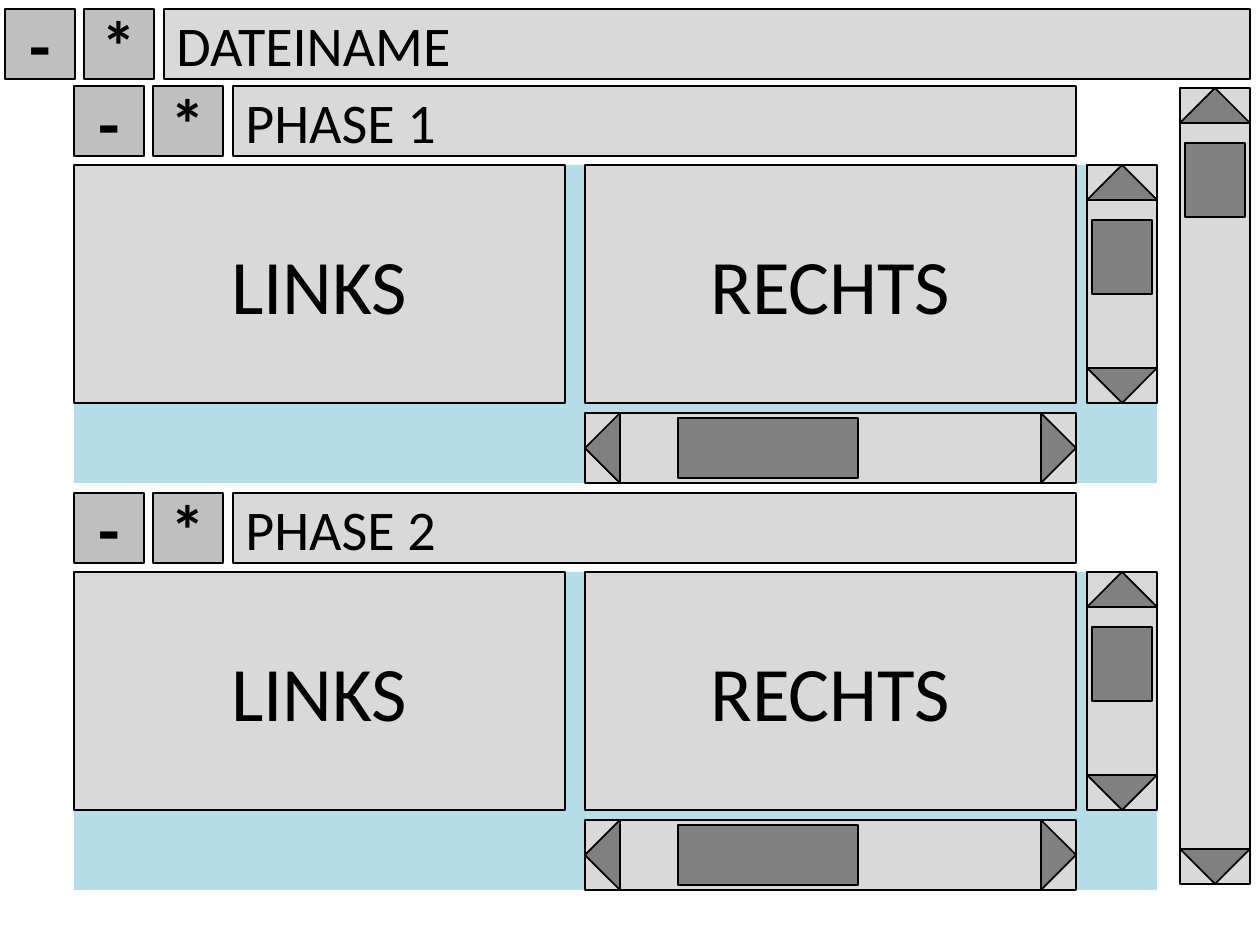
from pptx import Presentation
from pptx.dml.color import RGBColor
from pptx.enum.shapes import MSO_SHAPE
from pptx.enum.text import MSO_ANCHOR, PP_ALIGN
from pptx.util import Emu, Pt

SIZE = 70
ARROW = 35
INSET = 5
PANE_W, PANE_H = 491, 238
GRAY, BUTTON, THUMB, BLUE = "D9D9D9", "BFBFBF", "808080", "B7DEE8"
BUTTON_FONT = {"size": Pt(40), "bold": True}
BAR_FONT = {"size": Pt(32)}
PANE_FONT = {"size": Pt(44)}


def px(n):
    """Turn pixels into EMU."""
    return Emu(round(n * 914400 / 126))


def color(value):
    """Turn a hex string into a colour."""
    return RGBColor.from_string(value)


def add_box(slide, x, y, w, h, fill, line="000000", kind=MSO_SHAPE.RECTANGLE, rot=0):
    """Add a shape that covers the given area after its rotation."""
    if rot % 180:
        x, y, w, h = x + (w - h) / 2, y + (h - w) / 2, h, w
    sp = slide.shapes.add_shape(kind, px(x), px(y), px(w), px(h))
    sp.rotation = rot
    sp.shadow.inherit = False
    sp.fill.solid()
    sp.fill.fore_color.rgb = color(fill)
    if line:
        sp.line.color.rgb = color(line)
        sp.line.width = Pt(1)
    else:
        sp.line.fill.background()
    return sp


def add_label(sp, text, font, align=PP_ALIGN.CENTER, wrap=True):
    """Write a black label into a shape."""
    tf = sp.text_frame
    tf.word_wrap = wrap
    tf.vertical_anchor = MSO_ANCHOR.MIDDLE
    p = tf.paragraphs[0]
    p.alignment = align
    r = p.add_run()
    r.text = text
    r.font.color.rgb = color("000000")
    for name, value in {"name": "Calibri", **font}.items():
        setattr(r.font, name, value)


def add_title_row(slide, x, y, right, title):
    """Add the two buttons and the title bar of a row."""
    for i, sign in enumerate("-*"):
        sp = add_box(slide, x + i * 79, y, SIZE, SIZE, BUTTON)
        add_label(sp, sign, BUTTON_FONT, wrap=False)
    bar = add_box(slide, x + 159, y, right - x - 159, SIZE, GRAY)
    add_label(bar, title, BAR_FONT, PP_ALIGN.LEFT)


def add_vertical_scroll(slide, x, y, h):
    """Add a vertical scroll bar."""
    add_box(slide, x, y, SIZE, h, GRAY, rot=270)
    for top, rot in ((y, 0), (y + h - ARROW, 180)):
        add_box(slide, x, top, SIZE, ARROW, THUMB, kind=MSO_SHAPE.ISOSCELES_TRIANGLE, rot=rot)
    add_box(slide, x + INSET, y + 55, SIZE - 2 * INSET, 74, THUMB, rot=270)


def add_horizontal_scroll(slide, x, y, w):
    """Add a horizontal scroll bar."""
    add_box(slide, x, y, w, SIZE, GRAY, rot=180)
    for left, rot in ((x, 270), (x + w - ARROW, 90)):
        add_box(slide, left, y, ARROW, SIZE, THUMB, kind=MSO_SHAPE.ISOSCELES_TRIANGLE, rot=rot)
    add_box(slide, x + 93, y + INSET, 180, SIZE - 2 * INSET, THUMB, rot=180)


def add_phase(slide, y, title):
    """Add a phase with its title row, panes and scroll bars."""
    top = y + 79
    add_box(slide, 74, top, 1083, 318, BLUE, line=None)
    add_title_row(slide, 74, y, 1076, title)
    for x, text in ((74, "LINKS"), (585, "RECHTS")):
        add_label(add_box(slide, x, top, PANE_W, PANE_H, GRAY), text, PANE_FONT)
    add_vertical_scroll(slide, 1087, top, PANE_H)
    add_horizontal_scroll(slide, 585, top + PANE_H + 10, PANE_W)


def main():
    """Build the slide and save it."""
    prs = Presentation()
    prs.slide_width, prs.slide_height = px(1260), px(945)
    slide = prs.slides.add_slide(prs.slide_layouts[6])
    add_title_row(slide, 5, 9, 1250, "DATEINAME")
    for i in range(2):
        add_phase(slide, 86 + i * 407, f"PHASE {i + 1}")
    add_vertical_scroll(slide, 1180, 88, 796)
    prs.save("out.pptx")


if __name__ == "__main__":
    main()
